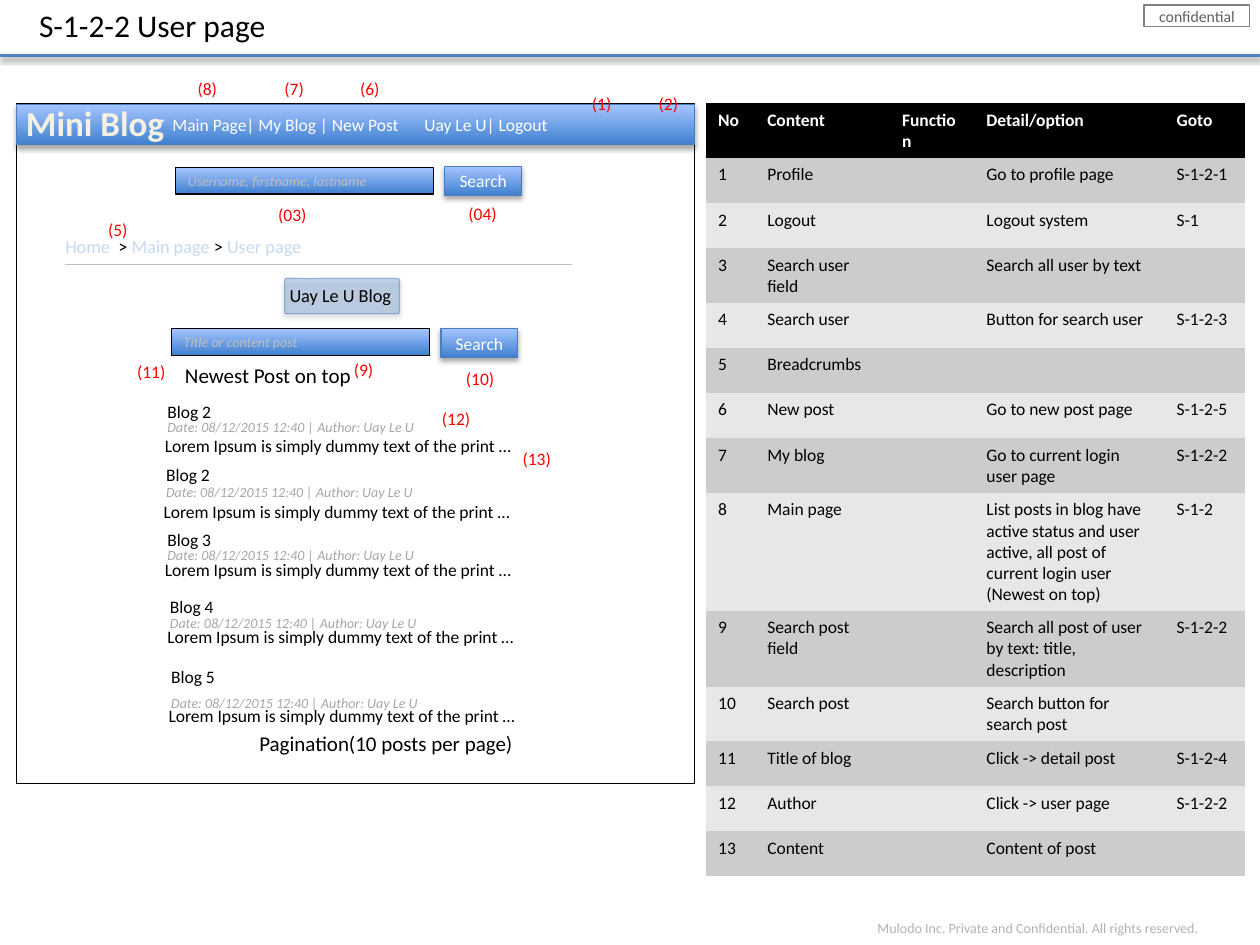
"""Build the user page wireframe slide with its table of screen elements."""
from dataclasses import dataclass
from typing import Any, Optional

import lxml.etree
import pptx
import pptx.dml.color
import pptx.enum.shapes
import pptx.enum.text
import pptx.oxml.ns
import pptx.util

COLORS = {
    "black": "000000", "white": "FFFFFF", "red": "FF0000", "frame_gray": "808080",
    "stamp": "5F5F5F", "footer": "B2B2B2", "hint": "BFBFBF", "meta": "A6A6A6",
    "rule": "4F81BD", "edge": "4B7EBC", "deep": "3F80CE", "sky": "A4C4FF",
    "crumb": "C6D9F1", "logo": "F4F1E3", "badge": "558ED5",
    "odd_row": "CCCCCC", "even_row": "E7E7E7",
}
WIDTH, HEIGHT = pptx.util.Inches(10), pptx.util.Inches(7.5)
GRID_COLUMNS, GRID_ROWS = 100, 75
SHAPES = pptx.enum.shapes.MSO_SHAPE
ALIGN = pptx.enum.text.PP_ALIGN
ANCHOR = pptx.enum.text.MSO_ANCHOR
AUTO_SIZE = pptx.enum.text.MSO_AUTO_SIZE


@dataclass(frozen=True)
class Box:
    """Place and size in grid columns and rows."""
    column: float
    row: float
    columns: float
    rows: float

    def emu(self) -> tuple[int, int, int, int]:
        return across(self.column), down(self.row), across(self.columns), down(self.rows)


@dataclass(frozen=True)
class Style:
    """Look of a run of text."""
    size: float = 10
    color: str = "black"
    bold: bool = False
    italic: bool = False


@dataclass(frozen=True)
class Panel:
    """Filled shape with an optional line of text."""
    box: Box
    fill: Optional[str] = None
    line: str = "black"
    text: str = ""
    style: Style = Style()
    align: Any = ALIGN.LEFT
    raised: bool = False
    wrap: bool = True


@dataclass(frozen=True)
class Post:
    """Blog post with the rows of its three lines."""
    title: str
    column: float
    title_row: float
    meta_row: float
    body_row: float


META, HINT = Style(8, "meta", italic=True), Style(8, "hint", italic=True)
BUTTON, MARK = Style(10, "white"), Style(10, "red")
POSTS = [
    Post("Blog 2", 12.3, 31.3, 32.7, 34),
    Post("Blog 2", 12.2, 36.3, 37.9, 39.3),
    Post("Blog 3", 12.3, 41.5, 42.9, 43.9),
    Post("Blog 4", 12.5, 46.8, 48.3, 49.2),
    Post("Blog 5", 12.6, 52.4, 54.6, 55.5),
]
MARKS = {
    "(1)": (46, 6.9), "(2)": (51.3, 6.9), "(03)": (21.1, 15.7), "(04)": (36.2, 15.6),
    "(5)": (7.6, 16.9), "(6)": (27.6, 5.7), "(7)": (21.6, 5.7), "(8)": (14.7, 5.7),
    "(9)": (27.1, 28), "(10)": (36, 28.7), "(11)": (9.9, 28.2), "(12)": (34.1, 31.9),
    "(13)": (40.5, 35.1),
}
TABLE_COLUMNS = (3.9, 10.7, 6.7, 15.1, 6.4)
TABLE_ROW = 3.58
HEADER = ("No", "Content", "Function", "Detail/option", "Goto")
ELEMENTS = [
    ("Profile", "Go to profile page", "S-1-2-1"),
    ("Logout", "Logout system", "S-1"),
    ("Search user field", "Search all user by text", ""),
    ("Search user", "Button for search user", "S-1-2-3"),
    ("Breadcrumbs", "", ""),
    ("New post", "Go to new post page", "S-1-2-5"),
    ("My blog", "Go to current login user page", "S-1-2-2"),
    ("Main page", "List posts in blog have active status and user active, "
     "all post of current login user (Newest on top)", "S-1-2"),
    ("Search post field", "Search all post of user by text: title, description", "S-1-2-2"),
    ("Search post", "Search button for search post", ""),
    ("Title of blog", "Click -> detail post", "S-1-2-4"),
    ("Author", "Click -> user page", "S-1-2-2"),
    ("Content", "Content of post", ""),
]


def across(columns: float) -> int:
    return round(WIDTH * columns / GRID_COLUMNS)


def down(rows: float) -> int:
    return round(HEIGHT * rows / GRID_ROWS)


def rgb(name: str) -> pptx.dml.color.RGBColor:
    return pptx.dml.color.RGBColor.from_string(COLORS[name])


def child(parent: Any, tag: str, **attributes: Any) -> Any:
    values = {key: str(value) for key, value in attributes.items()}
    return lxml.etree.SubElement(parent, pptx.oxml.ns.qn(tag), values)


def add_run(paragraph: Any, text: str, style: Style) -> None:
    run = paragraph.add_run()
    run.text = text
    run.font.name, run.font.size = "Calibri", pptx.util.Pt(style.size)
    run.font.bold, run.font.italic = style.bold, style.italic
    run.font.color.rgb = rgb(style.color)


def add_shadow(effects: Any, opacity: int, distance: float) -> None:
    shadow = child(effects, "a:outerShdw", blurRad=pptx.util.Pt(3.1),
                   dist=pptx.util.Pt(distance), dir=5400000, rotWithShape=0)
    child(child(shadow, "a:srgbClr", val=COLORS["black"]), "a:alpha", val=opacity * 1000)


def add_text(slide: Any, box: Box, runs: list[tuple[str, Style]],
             align: Any = ALIGN.LEFT, wrap: bool = False) -> None:
    frame = slide.shapes.add_textbox(*box.emu()).text_frame
    frame.word_wrap, frame.auto_size = wrap, AUTO_SIZE.SHAPE_TO_FIT_TEXT
    frame.paragraphs[0].alignment = align
    for text, style in runs:
        add_run(frame.paragraphs[0], text, style)


def add_panel(slide: Any, panel: Panel, preset: Any = SHAPES.RECTANGLE) -> Any:
    shape = slide.shapes.add_shape(preset, *panel.box.emu())
    shape.shadow.inherit = False
    if panel.fill:
        shape.fill.solid()
        shape.fill.fore_color.rgb = rgb(panel.fill)
    else:
        shape.fill.gradient()
        shape.fill.gradient_angle = 90
        for stop, name in zip(shape.fill.gradient_stops, ("deep", "sky")):
            stop.color.rgb = rgb(name)
    shape.line.color.rgb, shape.line.width = rgb(panel.line), pptx.util.Pt(0.75)
    if panel.raised:
        add_shadow(shape._element.spPr.find(pptx.oxml.ns.qn("a:effectLst")), 35, 1.8)
    frame = shape.text_frame
    frame.word_wrap, frame.vertical_anchor = panel.wrap, ANCHOR.MIDDLE
    frame.paragraphs[0].alignment = panel.align
    if panel.text:
        add_run(frame.paragraphs[0], panel.text, panel.style)
    return shape


def add_rule(slide: Any, start: float, end: float, row: float, color: str, width: float) -> Any:
    rule = slide.shapes.add_connector(pptx.enum.shapes.MSO_CONNECTOR.STRAIGHT,
                                      across(start), down(row), across(end), down(row))
    rule.line.color.rgb, rule.line.width = rgb(color), pptx.util.Pt(width)
    return child(rule._element.spPr, "a:effectLst")


def add_search(slide: Any, column: float, row: float, button_row: float, hint: str) -> None:
    add_panel(slide, Panel(Box(column, row, 20.5, 2.1), text=hint, style=HINT))
    add_panel(slide, Panel(Box(column + 21.4, button_row, 6.1, 2.3), line="edge",
                           text="Search", style=BUTTON, align=ALIGN.CENTER, raised=True))


def add_post(slide: Any, post: Post) -> None:
    add_text(slide, Box(post.column, post.title_row, 5.5, 2.7), [(post.title, Style())])
    add_text(slide, Box(post.column, post.meta_row, 32.2, 2.4),
             [("Date: 08/12/2015 12:40 | Author: Uay Le U", META)], wrap=True)
    add_text(slide, Box(post.column - 0.2, post.body_row, 32.3, 2.7),
             [("Lorem Ipsum is simply dummy text of the print …", Style())], ALIGN.JUSTIFY, True)


def add_navigation(slide: Any) -> None:
    bar = add_panel(slide, Panel(Box(1.3, 8.3, 53.8, 3.2), line="edge", raised=True,
                                 text="Main Page| My Blog | New Post\tUay Le U| Logout",
                                 style=BUTTON))
    properties = bar.text_frame.paragraphs[0]._p.get_or_add_pPr()
    properties.set("marL", str(across(11.4)))
    properties.set("indent", "0")
    child(child(properties, "a:tabLst"), "a:tab", pos=across(42.1), algn="l")
    add_text(slide, Box(1, 7.6, 13.1, 4.4), [("Mini Blog", Style(20, "logo", bold=True))],
             ALIGN.CENTER)


def add_badge(slide: Any) -> None:
    badge = add_panel(slide, Panel(Box(22.6, 22.1, 9.1, 2.8), "badge", "edge", raised=True),
                      SHAPES.ROUNDED_RECTANGLE)
    badge.adjustments[0] = 0.05
    fill, line = badge._element.spPr.xpath("./a:solidFill/a:srgbClr | ./a:ln//a:srgbClr")
    child(fill, "a:alpha", val=30000)
    child(line, "a:alpha", val=50000)
    add_text(slide, Box(22, 22.1, 10.3, 2.8), [("Uay Le U Blog", Style(10.5))])


def add_elements_table(slide: Any) -> None:
    rows = [HEADER] + [(str(number), content, "", detail, goto)
                       for number, (content, detail, goto) in enumerate(ELEMENTS, 1)]
    box = Box(56, 8.2, sum(TABLE_COLUMNS), TABLE_ROW * len(rows))
    table = slide.shapes.add_table(len(rows), len(HEADER), *box.emu()).table
    style_id = table._tbl.tblPr.find(pptx.oxml.ns.qn("a:tableStyleId"))
    style_id.text = "{2D5ABB26-0587-4C30-8999-92F81FD0307C}"
    for column, width in zip(table.columns, TABLE_COLUMNS):
        column.width = across(width)
    for index, values in enumerate(rows):
        table.rows[index].height = down(TABLE_ROW)
        style = Style() if index else Style(color="white", bold=True)
        fill = ("odd_row" if index % 2 else "even_row") if index else "black"
        for cell, value in zip(table.rows[index].cells, values):
            cell.fill.solid()
            cell.fill.fore_color.rgb = rgb(fill)
            paragraph = cell.text_frame.paragraphs[0]
            if value:
                add_run(paragraph, value, style)
            else:
                child(paragraph._p, "a:endParaRPr", sz=1000)


def add_title(slide: Any, text: str) -> None:
    title = slide.shapes.title
    title.left, title.top, title.width, title.height = Box(2.1, 0, 20.2, 4).emu()
    frame = title.text_frame
    frame.word_wrap, frame.auto_size = False, AUTO_SIZE.NONE
    frame.vertical_anchor = ANCHOR.TOP
    frame.paragraphs[0].alignment = ALIGN.LEFT
    add_run(frame.paragraphs[0], text, Style(18))


def main() -> None:
    deck = pptx.Presentation()
    deck.slide_width, deck.slide_height = WIDTH, HEIGHT
    slide = deck.slides.add_slide(deck.slide_layouts[5])
    add_title(slide, "S-1-2-2 User page")
    add_panel(slide, Panel(Box(90.8, 0.4, 8.4, 1.7), "white", "frame_gray", "confidential",
                           Style(9, "stamp"), ALIGN.CENTER, wrap=False))
    add_text(slide, Box(68.6, 72.5, 27.6, 2.4),
             [("Mulodo Inc. Private and Confidential. All rights reserved.", Style(8, "footer"))],
             ALIGN.CENTER)
    add_shadow(add_rule(slide, 0, GRID_COLUMNS, 4.4, "rule", 2), 38, 1.6)
    add_panel(slide, Panel(Box(1.3, 8.2, 53.8, 54), "white"))
    add_navigation(slide)
    add_search(slide, 13.9, 13.3, 13.2, "Username, firstname, lastname")
    add_rule(slide, 5.2, 45.4, 21, "hint", 0.25)
    link, arrow = Style(10.5, "crumb"), Style(10.5)
    add_text(slide, Box(4.2, 18.2, 21.1, 2.8),
             [("Home ", link), (" > ", arrow), ("Main page ", link), ("> ", arrow),
              ("User page", link)])
    add_badge(slide)
    add_search(slide, 13.6, 26.1, 26.1, "Title or content post")
    add_text(slide, Box(13.7, 28.3, 15.4, 3), [("Newest Post on top", Style(12))])
    for post in POSTS:
        add_post(slide, post)
    add_text(slide, Box(19.6, 57.5, 22.4, 3), [("Pagination(10 posts per page)", Style(12))])
    for mark, (column, row) in MARKS.items():
        add_text(slide, Box(column, row, 3.6 if len(mark) == 3 else 4.3, 2.7), [(mark, MARK)])
    add_elements_table(slide)
    deck.save("out.pptx")


if __name__ == "__main__":
    main()
